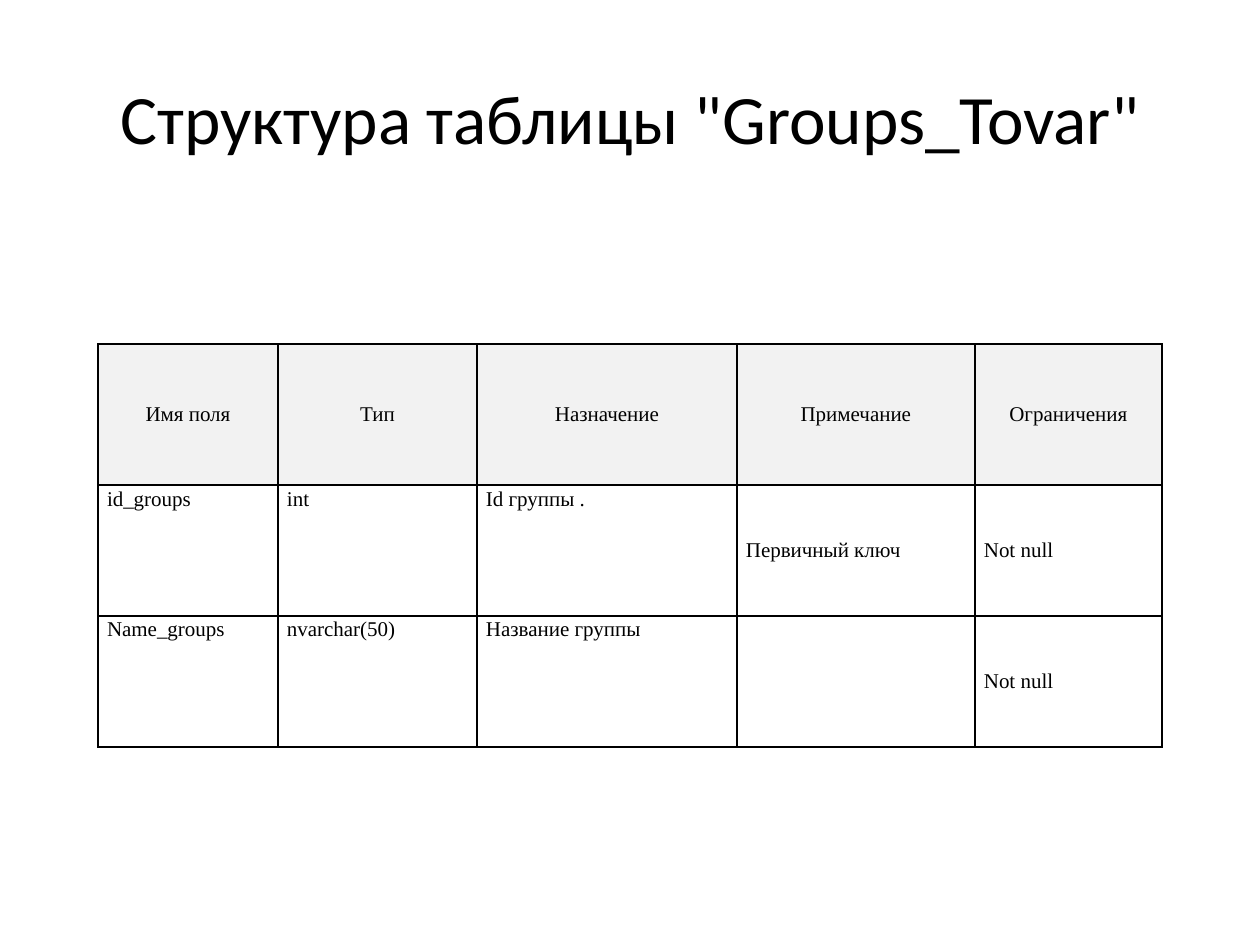
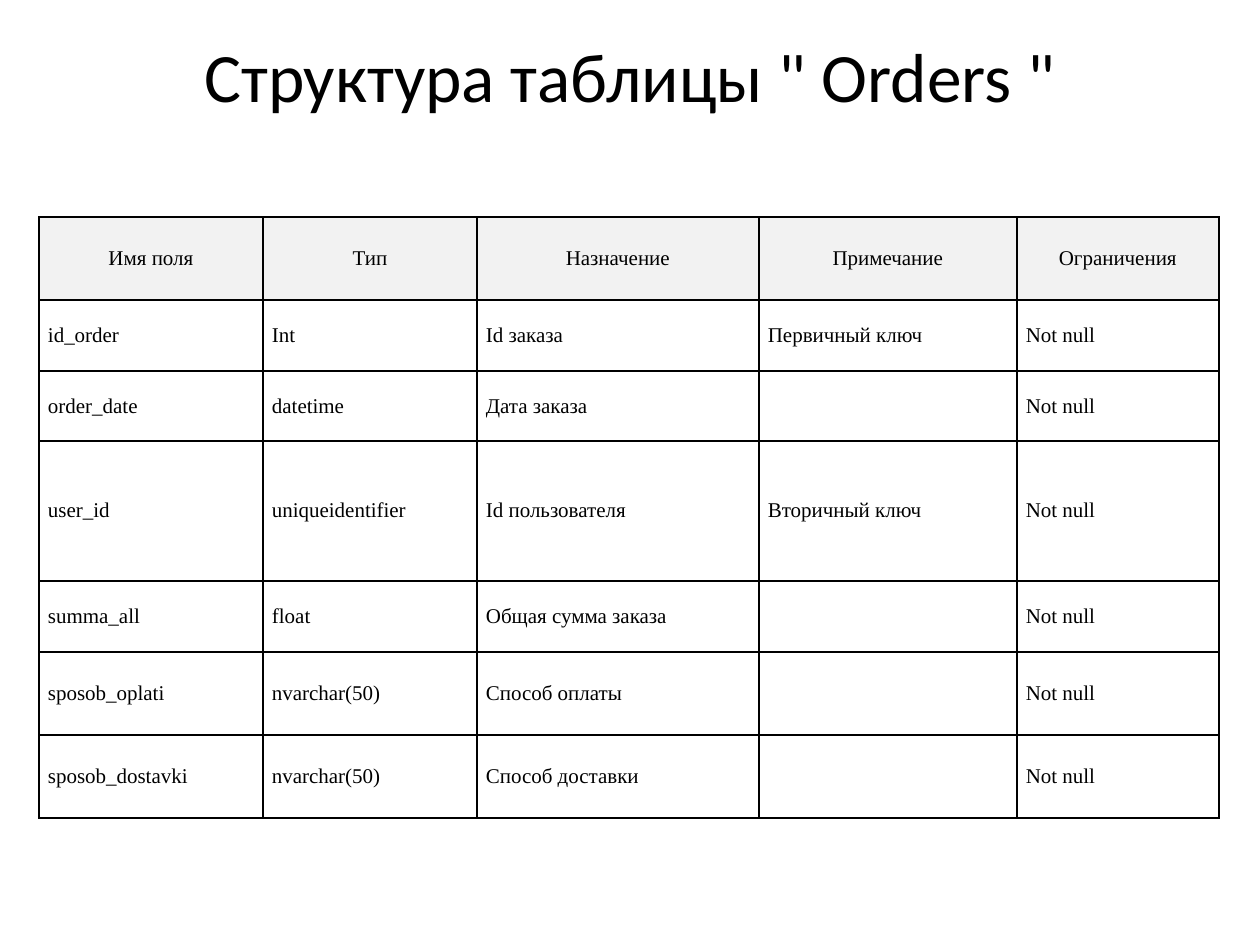
from lxml import etree
from pptx import Presentation
from pptx.dml.color import RGBColor
from pptx.enum.text import MSO_ANCHOR, MSO_AUTO_SIZE, PP_ALIGN
from pptx.oxml.ns import qn
from pptx.util import Pt

EMU_PER_PX = 914400 / 126
TITLE_ONLY = 5
TOP, MIDDLE = MSO_ANCHOR.TOP, MSO_ANCHOR.MIDDLE
LEFT, CENTER, JUSTIFY = PP_ALIGN.LEFT, PP_ALIGN.CENTER, PP_ALIGN.JUSTIFY
FIT_NONE = MSO_AUTO_SIZE.NONE

BLACK, HEADER_FILL = "000000", "F2F2F2"
TITLE_FONT, TABLE_FONT = "Calibri", "Times New Roman"
TITLE_BOX = (63, 38, 1134, 158)
CELL_INSETS = (9, 0, 9, 0)
BORDER_SIDES = ("a:lnL", "a:lnR", "a:lnT", "a:lnB")
HEADINGS = ["Имя поля", "Тип", "Назначение", "Примечание", "Ограничения"]

GROUPS_FIELDS = [
    ["id_groups", "int", "Id группы .", "Первичный ключ", "Not null"],
    ["Name_groups", "nvarchar(50)", "Название группы", "", "Not null"],
]
ORDERS_FIELDS = [
    ["id_order", "Int", "Id заказа", "Первичный ключ", "Not null"],
    ["order_date", "datetime", "Дата заказа", "", "Not null"],
    ["user_id", "uniqueidentifier", "Id пользователя", "Вторичный ключ", "Not null"],
    ["summa_all", "float", "Общая сумма заказа", "", "Not null"],
    ["sposob_oplati", "nvarchar(50)", "Способ оплаты", "", "Not null"],
    ["sposob_dostavki", "nvarchar(50)", "Способ доставки", "", "Not null"],
]


def px(length):
    return round(length * EMU_PER_PX)


def color(value):
    return RGBColor.from_string(value)


def write(frame, text, *, font, size, align=LEFT, spacing=None):
    paragraph = frame.paragraphs[0]
    paragraph.alignment = align
    paragraph.line_spacing = spacing
    paragraph.font.size = Pt(size)
    if text:
        run = paragraph.add_run()
        run.text = text
        run.font.name = font
        run.font.size = Pt(size)
        run.font.color.rgb = color(BLACK)


def add_title(slide, text, insets):
    title = slide.shapes.title
    title.left, title.top, title.width, title.height = map(px, TITLE_BOX)
    frame = title.text_frame
    frame.word_wrap = True
    frame.auto_size = FIT_NONE
    frame.vertical_anchor = MIDDLE
    frame.margin_top, frame.margin_bottom = map(px, insets)
    write(frame, text, font=TITLE_FONT, size=39.6, align=CENTER)


def add_borders(cell):
    properties = cell._tc.get_or_add_tcPr()
    for position, side in enumerate(BORDER_SIDES):
        line = etree.Element(qn(side), w=str(Pt(1)))
        fill = etree.SubElement(line, qn("a:solidFill"))
        etree.SubElement(fill, qn("a:srgbClr"), val=BLACK)
        properties.insert(position, line)


def format_cell(cell, text, *, header=False, justified=False):
    cell.margin_left, cell.margin_top, cell.margin_right, cell.margin_bottom = map(
        px, CELL_INSETS)
    cell.vertical_anchor = TOP if justified else MIDDLE
    if header:
        cell.fill.solid()
        cell.fill.fore_color.rgb = color(HEADER_FILL)
    else:
        cell.fill.background()
    align = CENTER if header else JUSTIFY if justified else LEFT
    write(cell.text_frame, text, font=TABLE_FONT, size=12, align=align,
          spacing=1.1 if justified else None)
    add_borders(cell)


def add_field_table(slide, left, top, widths, heights, fields, justified_columns):
    rows = [HEADINGS] + fields
    box = map(px, (left, top, sum(widths), sum(heights)))
    table = slide.shapes.add_table(len(rows), len(widths), *box).table
    table.first_row = table.horz_banding = False
    for column, width in zip(table.columns, widths):
        column.width = px(width)
    for row, height in zip(table.rows, heights):
        row.height = px(height)
    for r, values in enumerate(rows):
        for c, value in enumerate(values):
            format_cell(table.cell(r, c), value, header=r == 0,
                        justified=r > 0 and c < justified_columns)


def add_structure_slide(prs, title, *, title_insets=(6, 6), justified_columns=0, **table):
    slide = prs.slides.add_slide(prs.slide_layouts[TITLE_ONLY])
    add_title(slide, title, title_insets)
    add_field_table(slide, justified_columns=justified_columns, **table)


def main():
    prs = Presentation()
    prs.slide_width, prs.slide_height = px(1260), px(945)
    add_structure_slide(
        prs, 'Структура таблицы "Groups_Tovar"', justified_columns=3,
        left=98, top=344, widths=[180, 199, 260, 238, 187],
        heights=[141, 131, 131], fields=GROUPS_FIELDS)
    add_structure_slide(
        prs, 'Структура таблицы " Orders "', title_insets=(0, 84),
        left=39, top=217, widths=[224, 214, 282, 258, 202],
        heights=[83, 71, 70, 140, 71, 83, 83], fields=ORDERS_FIELDS)
    prs.save("out.pptx")


if __name__ == "__main__":
    main()
